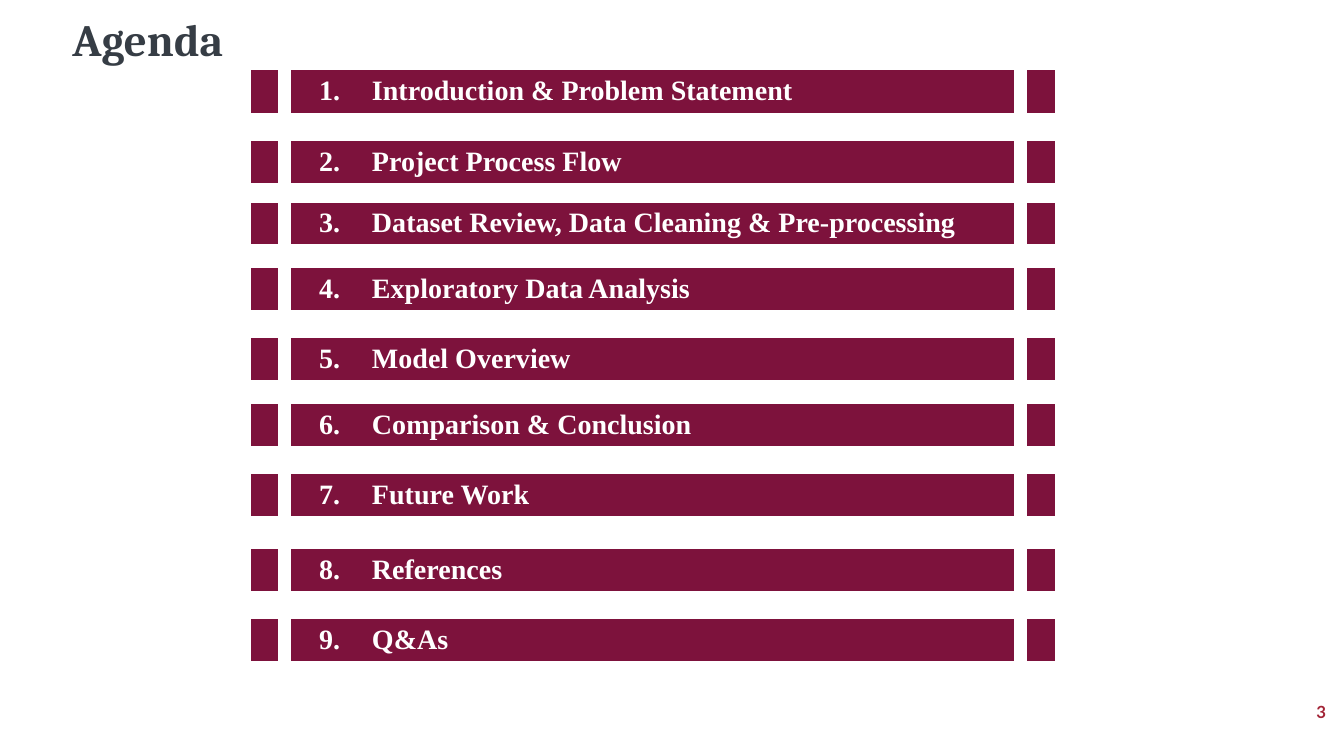
from lxml.etree import SubElement
from pptx import Presentation
from pptx.dml.color import RGBColor
from pptx.enum.text import MSO_ANCHOR as Anchor, PP_ALIGN as Align
from pptx.oxml.ns import qn
from pptx.util import Inches, Pt

NO_STYLE = "{2D5ABB26-0587-4C30-8999-92F81FD0307C}"
COLUMNS = [0.27, 0.13, 0.76, 6.41, 0.13, 0.27]
GUTTER, NUMBER, TOPIC = 1, 2, 3
BAR_COLUMNS = (0, NUMBER, TOPIC, 5)

# Top edge, row heights (gap and bar in turn), first number, topics
SECTIONS = [
    (0.42, [0.27, 0.43, 0.28, 0.39], 1,
     ["Introduction & Problem Statement", "Project Process Flow"]),
    (2.39, [0.27, 0.4, 0.28, 0.4], 4,
     ["Exploratory Data Analysis", "Model Overview"]),
    (3.73, [0.28, 0.39, 0.28, 0.39], 6,
     ["Comparison & Conclusion", "Future Work"]),
    (5.17, [0.28, 0.39, 0.28, 0.39], 8, ["References", "Q&As"]),
    (1.74, [0.27, 0.4, 0.27], 3,
     ["Dataset Review, Data Cleaning & Pre-processing"]),
]


def color(value):
    return RGBColor.from_string(value)


def write(frame, text, font, size, fill, align=Align.LEFT, spacing=None):
    para = frame.paragraphs[0]
    para.alignment = align
    if spacing:
        para.line_spacing = spacing
    span = para.add_run()
    span.text = text
    span.font.name, span.font.size, span.font.bold = font, Pt(size), True
    span.font.color.rgb = color(fill)


class AgendaPage:
    maroon, white, slate, red = "7D123C", "FFFFFF", "363D45", "A32537"

    def __init__(self, deck):
        self.page = deck.slides.add_slide(deck.slide_layouts[6])
        self.page.background.fill.solid()
        self.page.background.fill.fore_color.rgb = color(self.white)

    def text(self, left, top, width, height, text, anchor=Anchor.TOP, **style):
        box = self.page.shapes.add_textbox(
            Inches(left), Inches(top), Inches(width), Inches(height))
        box.text_frame.word_wrap = True
        box.text_frame.vertical_anchor = anchor
        write(box.text_frame, text, **style)

    def cell(self, cell, fill=None, text="", align=Align.LEFT):
        cell.margin_left = cell.margin_right = Inches(0.04)
        cell.margin_top = cell.margin_bottom = Inches(0.04)
        cell.vertical_anchor = Anchor.MIDDLE
        if fill:
            cell.fill.solid()
            cell.fill.fore_color.rgb = color(fill)
        else:
            cell.fill.background()
        if text:
            write(cell.text_frame, text, font="Times New Roman", size=20,
                  fill=self.white, align=align)
        else:
            # A small end mark lets an empty row keep its set height
            SubElement(cell.text_frame.paragraphs[0]._p,
                       qn("a:endParaRPr"), sz="800")

    def section(self, top, heights, first, topics):
        """Add one table in which thin gap rows alternate with agenda bars."""
        frame = self.page.shapes.add_table(
            len(heights), len(COLUMNS), Inches(2.49), Inches(top),
            Inches(sum(COLUMNS)), Inches(sum(heights)))
        table = frame.table
        table.first_row = table.horz_banding = False
        table._tbl.tblPr.find(qn("a:tableStyleId")).text = NO_STYLE
        for column, width in zip(table.columns, COLUMNS):
            column.width = Inches(width)
        for index, height in enumerate(heights):
            table.rows[index].height = Inches(height)
            is_bar = index % 2 == 1
            item = index // 2
            labels = {}
            if is_bar:
                labels = {NUMBER: f"{first + item}.", TOPIC: topics[item]}
            for column in range(len(COLUMNS)):
                fill = self.white if column == GUTTER else None
                if is_bar and column in BAR_COLUMNS:
                    fill = self.maroon
                self.cell(table.cell(index, column), fill,
                          labels.get(column, ""),
                          Align.CENTER if column == NUMBER else Align.LEFT)


def main():
    deck = Presentation()
    deck.slide_width, deck.slide_height = Inches(13.33), Inches(7.5)
    agenda = AgendaPage(deck)
    agenda.text(0.62, 0.13, 11.71, 0.8, "Agenda", font="Cambria", size=32,
                fill=agenda.slate, spacing=0.9)
    agenda.text(10.25, 6.86, 3, 0.4, "3", anchor=Anchor.MIDDLE, font="Lato",
                size=12, fill=agenda.red, align=Align.RIGHT)
    for section in SECTIONS:
        agenda.section(*section)
    deck.save("out.pptx")


if __name__ == "__main__":
    main()
